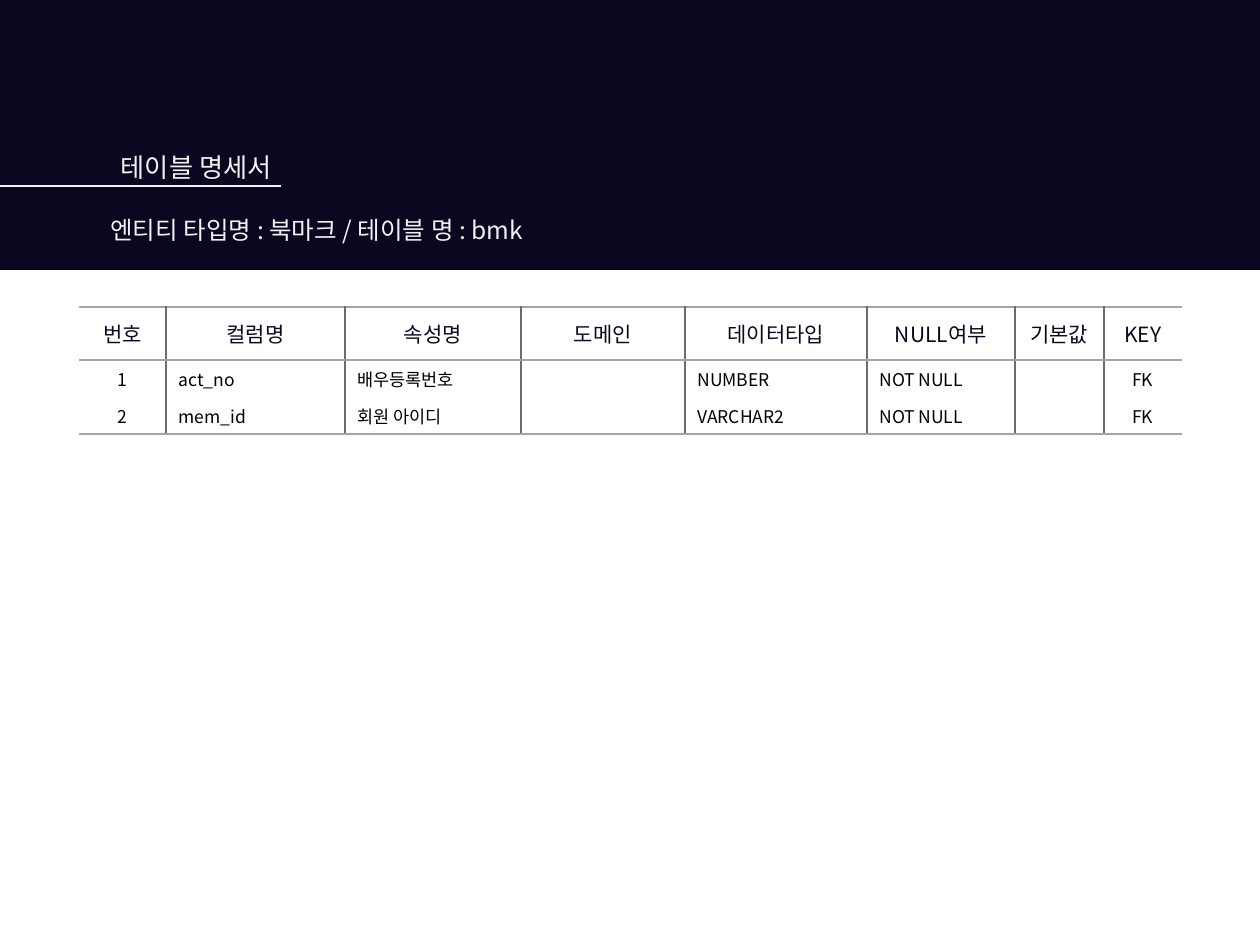
from pptx import Presentation
from pptx.dml.color import RGBColor
from pptx.enum.shapes import MSO_CONNECTOR, MSO_SHAPE
from pptx.enum.text import MSO_ANCHOR, PP_ALIGN
from pptx.oxml.ns import qn
from pptx.util import Pt
from lxml import etree

PX = 914400 // 126
FONT = "Noto Sans CJK KR"
COLORS = {"navy": "0B0720", "white": "F2F2F2", "black": "000000",
          "column": "6C6C6C", "row": "A5A5A5"}
LEFT, CENTER, RIGHT = PP_ALIGN.LEFT, PP_ALIGN.CENTER, PP_ALIGN.RIGHT
MIDDLE = MSO_ANCHOR.MIDDLE
RECTANGLE = MSO_SHAPE.RECTANGLE
STRAIGHT = MSO_CONNECTOR.STRAIGHT

COLUMNS = [("번호", 87, CENTER), ("컬럼명", 179, LEFT), ("속성명", 176, LEFT),
           ("도메인", 164, LEFT), ("데이터타입", 182, LEFT),
           ("NULL여부", 148, LEFT), ("기본값", 89, LEFT), ("KEY", 78, CENTER)]
RECORDS = [
    ["1", "act_no", "배우등록번호", "", "NUMBER", "NOT NULL", "", "FK"],
    ["2", "mem_id", "회원 아이디", "", "VARCHAR2", "NOT NULL", "", "FK"],
]
HEADER_HEIGHT, RECORD_HEIGHT = 53, 37


def px(*lengths):
    return [length * PX for length in lengths]


def rgb(name):
    return RGBColor.from_string(COLORS[name])


def write(para, text, size, color, align):
    para.text = text
    para.alignment = align
    para.font.size = Pt(size)
    para.font.name = FONT
    para.font.color.rgb = rgb(color)
    properties = para.font._element
    etree.SubElement(properties, qn("a:ea"), typeface=FONT)
    if not text:
        etree.SubElement(para._p, qn("a:endParaRPr"), sz=str(size * 100))


def add_label(page, box, text, size, align, spacing=None):
    frame = page.shapes.add_textbox(*px(*box)).text_frame
    frame.word_wrap = True
    para = frame.paragraphs[0]
    write(para, text, size, "white", align)
    if spacing:
        para.line_spacing = spacing


def add_banner(page, box):
    left, top, width, height = box
    band = page.shapes.add_shape(RECTANGLE, *px(*box))
    band.shadow.inherit = False
    band.fill.solid()
    band.fill.fore_color.rgb = rgb("navy")
    band.line.fill.background()
    rule_top = top + 186
    rule = page.shapes.add_connector(
        STRAIGHT, *px(left, rule_top, left + 281, rule_top))
    rule.line.color.rgb = rgb("white")
    rule.line.width = Pt(1.5)
    etree.SubElement(rule._element.spPr, qn("a:effectLst"))
    add_label(page, (left + 98, top + 129, 186, 55), "테이블 명세서", 15, RIGHT, 1.5)
    add_label(page, (left + 98, top + 209, 592, 43),
              "엔티티 타입명 : 북마크 / 테이블 명 : bmk", 14, LEFT)


def set_border(cell, side, color):
    properties = cell._tc.get_or_add_tcPr()
    line = etree.SubElement(properties, qn("a:" + side), w=str(Pt(1)))
    if color:
        fill = etree.SubElement(line, qn("a:solidFill"))
        etree.SubElement(fill, qn("a:srgbClr"), val=COLORS[color])
    else:
        etree.SubElement(line, qn("a:noFill"))


def add_column_table(page, left, top):
    rows = [[name for name, _, _ in COLUMNS]] + RECORDS
    heights = [HEADER_HEIGHT] + [RECORD_HEIGHT] * len(RECORDS)
    width = sum(column[1] for column in COLUMNS)
    table = page.shapes.add_table(
        len(rows), len(COLUMNS), *px(left, top, width, sum(heights))).table
    table.first_row = False
    table.horz_banding = False
    for column, (_, column_width, _) in zip(table.columns, COLUMNS):
        column.width = column_width * PX
    last_row, last_column = len(rows) - 1, len(COLUMNS) - 1
    for r, texts in enumerate(rows):
        table.rows[r].height = heights[r] * PX
        for c, text in enumerate(texts):
            cell = table.cell(r, c)
            cell.vertical_anchor = MIDDLE
            para = cell.text_frame.paragraphs[0]
            if r == 0:
                write(para, text, 12, "navy", CENTER)
            else:
                write(para, text, 10, "black", COLUMNS[c][2])
            set_border(cell, "lnL", "column" if c > 0 else None)
            set_border(cell, "lnR", "column" if c < last_column else None)
            set_border(cell, "lnT", "row" if r < 2 else None)
            set_border(cell, "lnB", "row" if r in (0, last_row) else None)
            cell.fill.background()


def main():
    deck = Presentation()
    deck.slide_width, deck.slide_height = px(1260, 945)
    page = deck.slides.add_slide(deck.slide_layouts[6])
    add_banner(page, (0, 0, 1260, 270))
    add_column_table(page, 79, 307)
    deck.save("out.pptx")


if __name__ == "__main__":
    main()
